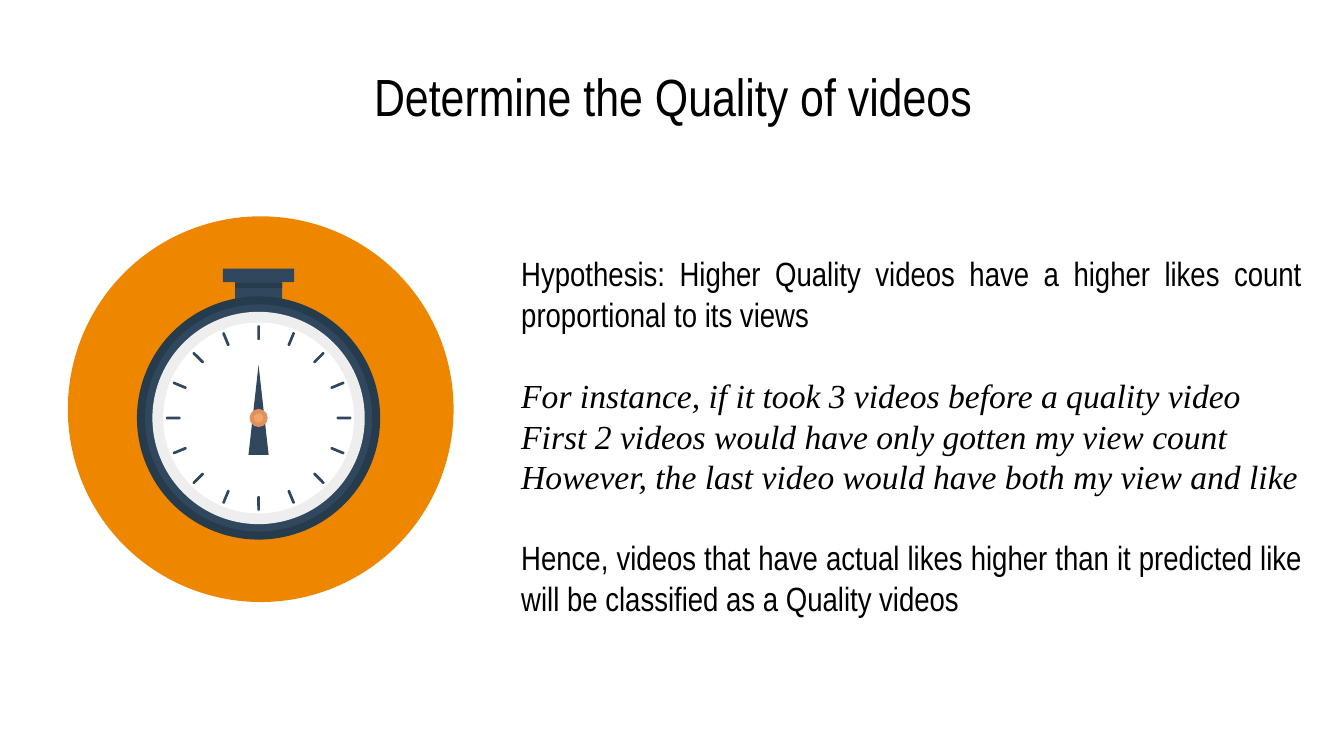
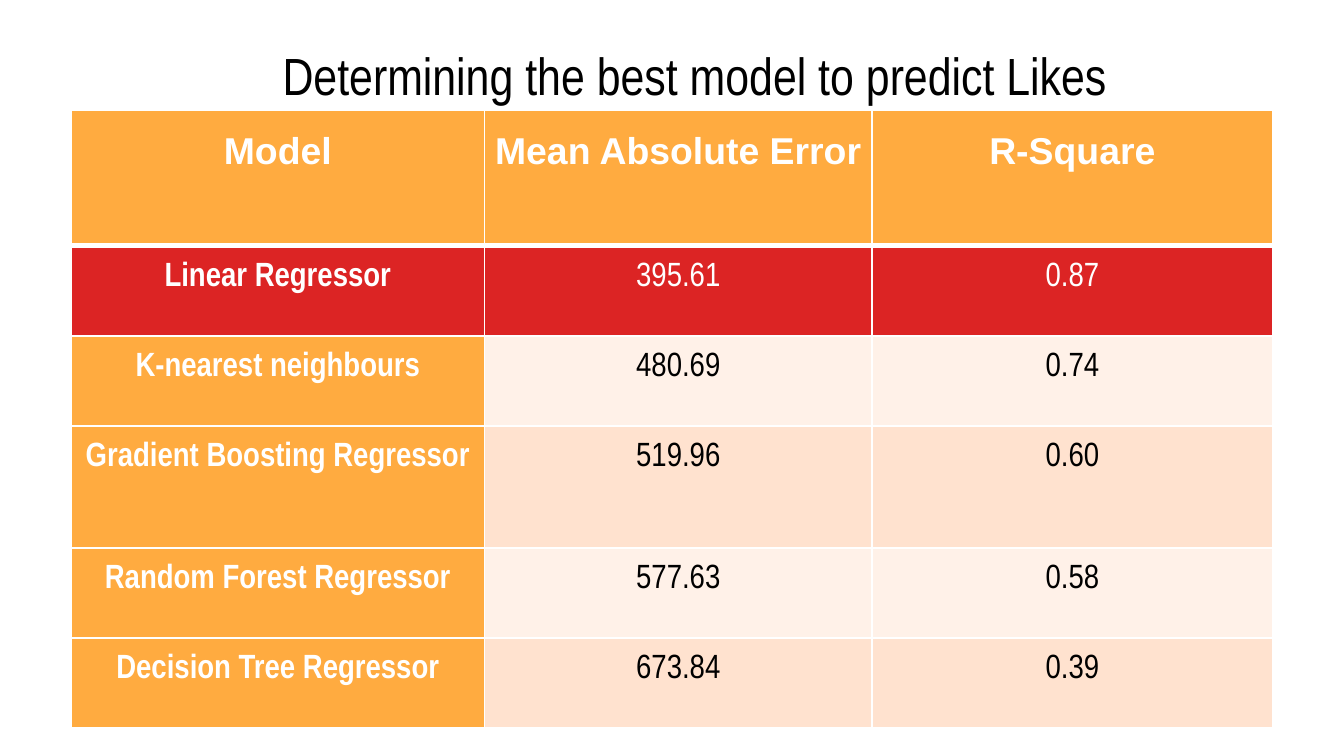
from lxml import etree
from pptx import Presentation
from pptx import util as u
from pptx.dml.color import RGBColor
from pptx.enum import shapes, text
from pptx.oxml.ns import qn

NAVY, DEEP_NAVY, WHITE, BLACK = "30475E", "263C4C", "FFFFFF", "000000"
ORANGE, AMBER, RED = "EF8600", "FFAB40", "DC2424"
BANDS = ["FFE2CF", "FFF1E8"]
ALIGN = text.PP_ALIGN


def paint(fill, color):
    fill.solid()
    fill.fore_color.rgb = RGBColor.from_string(color)


def write(frame, words, size=18, font="Arial Narrow", color=BLACK, bold=False,
          italic=False, align=ALIGN.CENTER, spacing=None, before=0, after=0):
    paragraph = frame.add_paragraph() if frame.text else frame.paragraphs[0]
    paragraph.alignment = align
    paragraph.line_spacing = spacing
    paragraph.space_before, paragraph.space_after = u.Pt(before), u.Pt(after)
    run = paragraph.add_run()
    run.text = words
    run.font.size, run.font.name = u.Pt(size), font
    run.font.bold, run.font.italic = bold, italic
    paint(run.font.fill, color)


deck = Presentation()
deck.slide_width = u.Inches(10)
deck.slide_height = deck.slide_width * 9 // 16
unit = deck.slide_width // 100

hypothesis = [
    ("Hypothesis: Higher Quality videos have a higher likes count proportional to its views", {}),
    ("For instance, if it took 3 videos before a quality video",
     dict(font="Times New Roman", italic=True, before=21.7)),
    ("First 2 videos would have only gotten my view count",
     dict(font="Times New Roman", italic=True)),
    ("However, the last video would have both my view and like",
     dict(font="Times New Roman", italic=True)),
    ("Hence, videos that have actual likes higher than it predicted like "
     "will be classified as a Quality videos", dict(before=21.7)),
]
quality_title = [("Determine the Quality of videos", dict(size=28))]
model_title = [("Determining the best model to predict Likes", dict(size=28))]
body_format = dict(align=ALIGN.JUSTIFY, spacing=u.Pt(21.7))

quality, models = [deck.slides.add_slide(deck.slide_layouts[6]) for _ in range(2)]
for slide, passage, shared, area in [
    (quality, quality_title, {}, (7.8, 4.5, 84.5, 5.3)),
    (quality, hypothesis, body_format, (37.8, 11.5, 60.1, 41.8)),
    (models, model_title, {}, (9.4, 2.9, 84.5, 5.3)),
]:
    frame = slide.shapes.add_textbox(*[int(n * unit) for n in area]).text_frame
    frame.word_wrap = True
    frame.vertical_anchor = text.MSO_ANCHOR.MIDDLE
    frame.margin_left = frame.margin_right = frame.margin_top = frame.margin_bottom = unit
    for words, style in passage:
        write(frame, words, **shared, **style)

OVAL, BOX = shapes.MSO_SHAPE.OVAL, shapes.MSO_SHAPE.RECTANGLE
TICK, NEEDLE = shapes.MSO_SHAPE.ROUNDED_RECTANGLE, shapes.MSO_SHAPE.ISOSCELES_TRIANGLE
dial_x, dial_y, tick_count = 19.24, 31.1, 16

stopwatch = [
    (OVAL, ORANGE, 19.4, 30.45, 28.7, 28.7, 0),
    (BOX, NAVY, dial_x, 22.55, 3.5, 3.5, 0),
]
for rim, diameter in [(DEEP_NAVY, 18.1), (NAVY, 16.9), ("EEEEEE", 15.8), (WHITE, 14.2)]:
    stopwatch.append((OVAL, rim, dial_x, dial_y, diameter, diameter, 0))
for tick in range(tick_count):
    stopwatch.append((TICK, NAVY, dial_x, dial_y, 0.2, 1.1, tick * 360 / tick_count))
stopwatch += [
    (NEEDLE, NAVY, dial_x, 30.5, 1.5, 6.7, 0),
    (OVAL, "DD915E", dial_x, dial_y, 1.35, 1.35, 0),
    (OVAL, "F2A365", dial_x, dial_y, 0.7, 0.7, 0),
    (BOX, NAVY, dial_x, 20.5, 5.3, 1, 0),
    (BOX, DEEP_NAVY, dial_x, 21.25, 3.5, 0.4, 0),
]
tick_radius = 6.35
for kind, color, x, y, width, height, angle in stopwatch:
    if kind == TICK:
        turn = 1j ** (angle / 90)
        x, y = x + tick_radius * turn.imag, y - tick_radius * turn.real
    piece = quality.shapes.add_shape(
        kind, *[int(n * unit) for n in (x - width / 2, y - height / 2, width, height)])
    piece.rotation = angle
    piece.shadow.inherit = False
    piece.line.fill.background()
    paint(piece.fill, color)
    if kind == TICK:
        piece.adjustments[0] = 0.5

scores = [
    ("Model", "Mean Absolute Error", "R-Square"),
    ("Linear Regressor", "395.61", "0.87"),
    ("K-nearest neighbours", "480.69", "0.74"),
    ("Gradient Boosting Regressor", "519.96", "0.60"),
    ("Random Forest Regressor", "577.63", "0.58"),
    ("Decision Tree Regressor", "673.84", "0.39"),
]
column_widths = [30.75, 28.85, 29.8]
row_heights = [10.1, 6.7, 6.7, 9.1, 6.7, 6.7]
table = models.shapes.add_table(
    len(scores), len(column_widths),
    *[int(n * unit) for n in (5.3, 8.2, sum(column_widths), sum(row_heights))]).table
table.horz_banding = False
for column, width in zip(table.columns, column_widths):
    column.width = int(width * unit)
for row, height in zip(table.rows, row_heights):
    row.height = int(height * unit)

for r, score in enumerate(scores):
    for c, words in enumerate(score):
        cell = table.cell(r, c)
        cell.margin_left = cell.margin_right = int(0.7 * unit)
        cell.margin_top = cell.margin_bottom = 0
        heading = r == 0 or c == 0
        for side in "LRTB":
            thick = (r, side) in [(0, "B"), (1, "T")]
            border = etree.SubElement(cell._tc.get_or_add_tcPr(), qn(f"a:ln{side}"),
                                      w=str(u.Pt(3 if thick else 1)))
            stroke = etree.SubElement(border, qn("a:solidFill"))
            etree.SubElement(stroke, qn("a:srgbClr"), val=WHITE)
        paint(cell.fill, RED if r == 1 else AMBER if heading else BANDS[(r + 1) % 2])
        write(cell.text_frame, words, size=20 if r == 0 else 18,
              font="Arial" if r == 0 else "Arial Narrow",
              color=WHITE if heading or r == 1 else BLACK,
              bold=heading, spacing=1.5, after=8)

deck.save("out.pptx")
